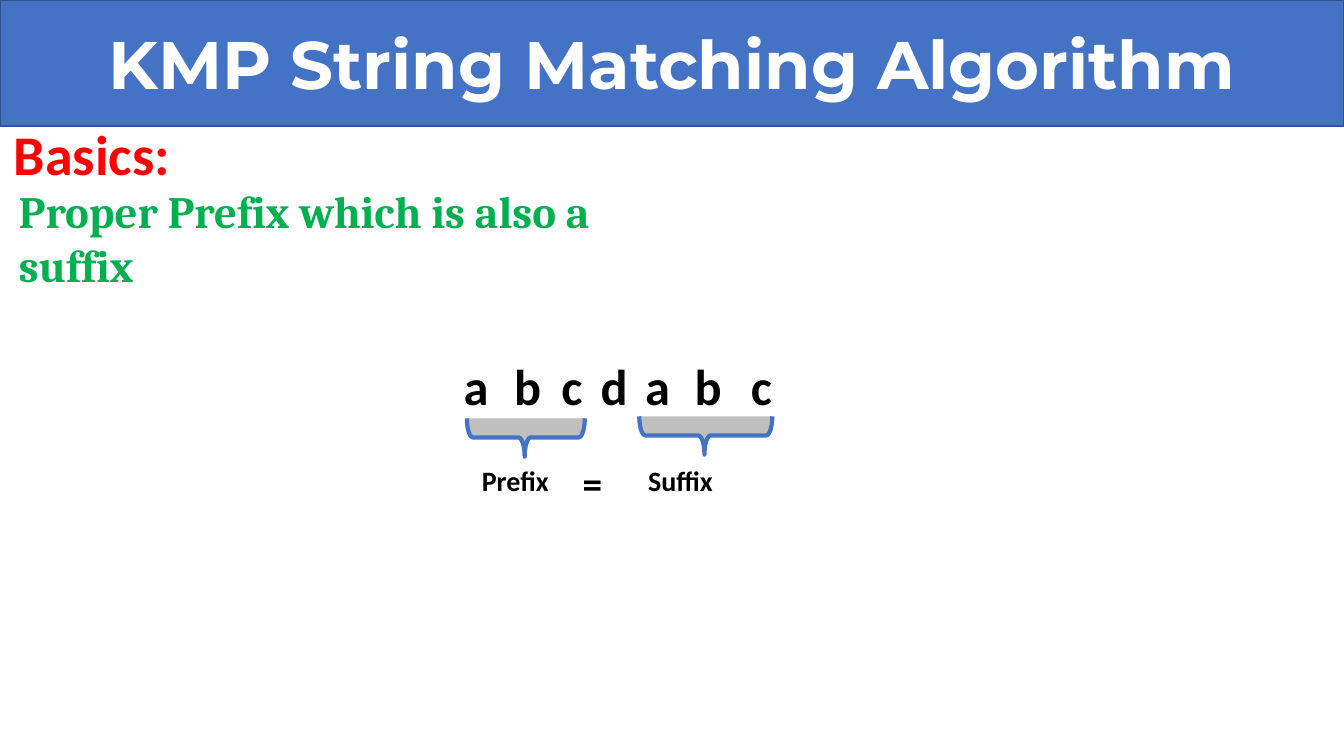
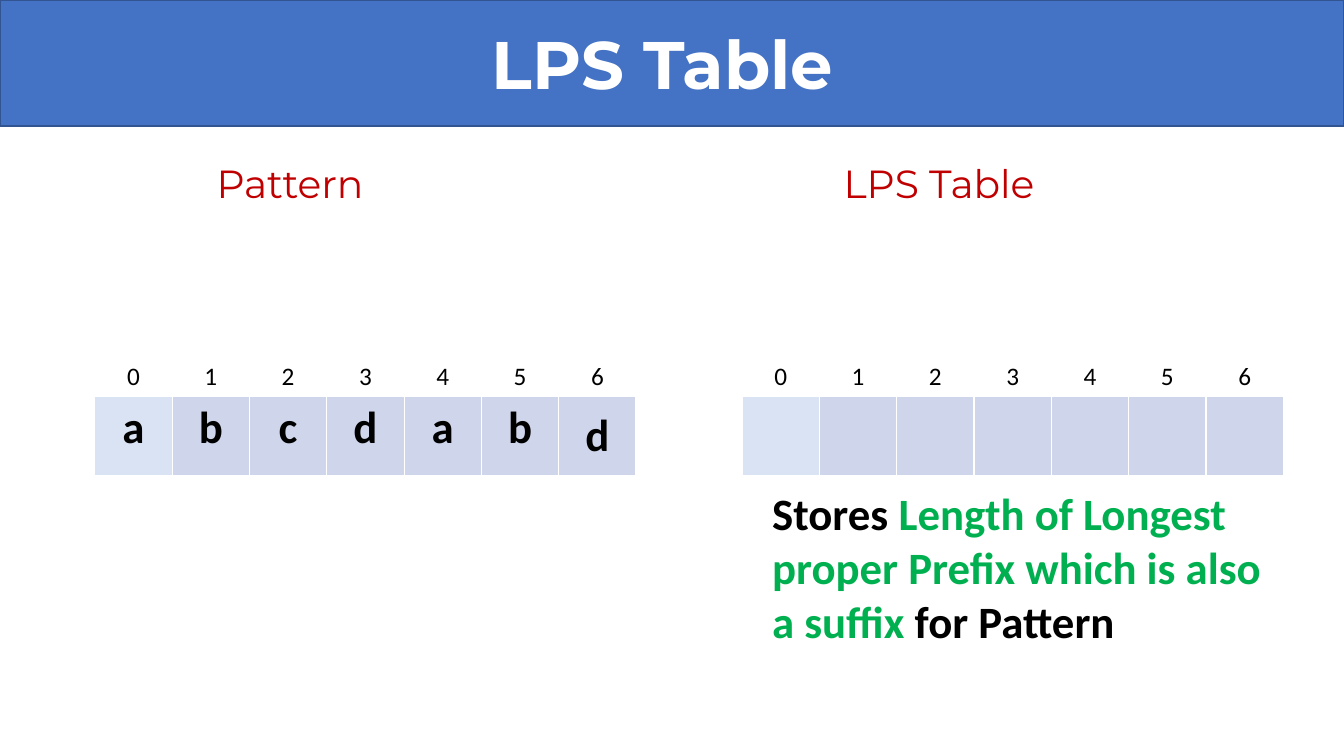
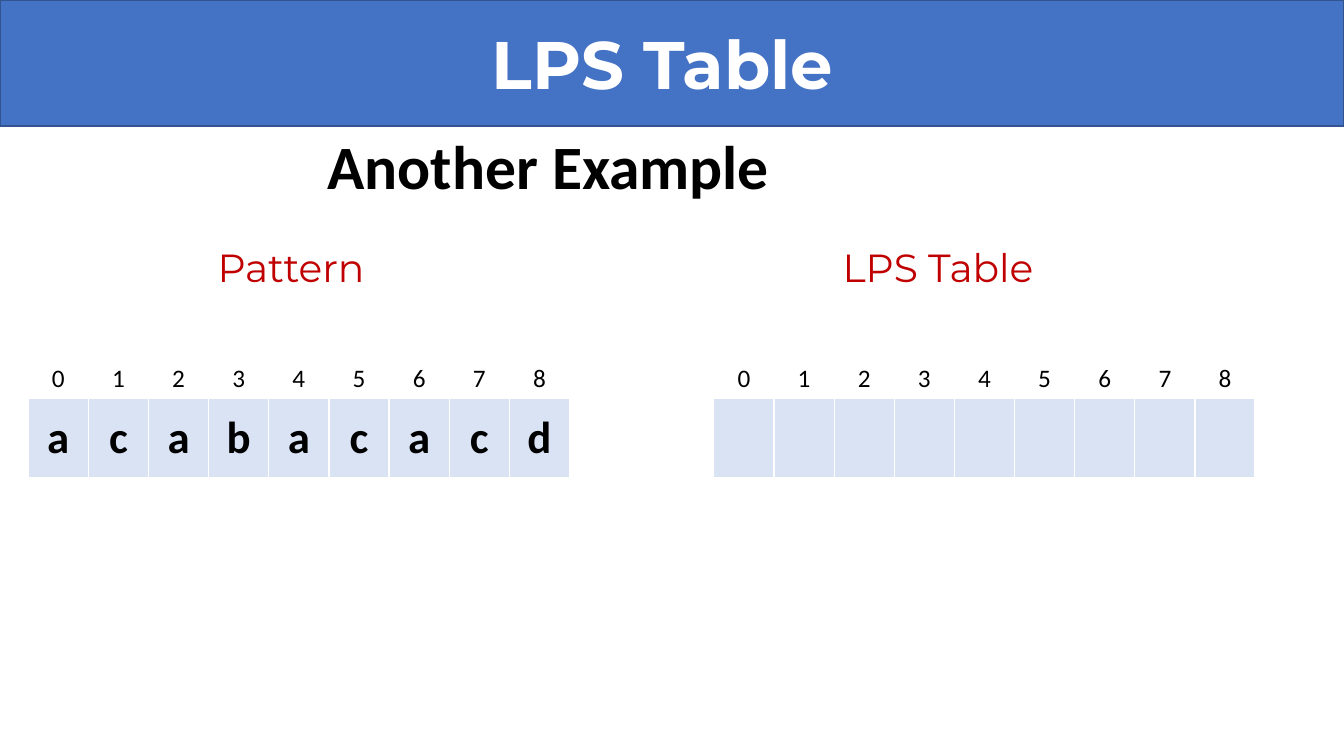
import dataclasses

import lxml.etree
import pptx
import pptx.dml.color
import pptx.enum.shapes
import pptx.enum.text
import pptx.oxml.ns
import pptx.util

Inches = pptx.util.Inches
Align = pptx.enum.text.PP_ALIGN
Anchor = pptx.enum.text.MSO_ANCHOR
Shape = pptx.enum.shapes.MSO_SHAPE


@dataclasses.dataclass(frozen=True)
class Theme:
    """Colours, fonts and type sizes of the deck."""
    blue: str = "4472C4"
    edge: str = "325491"
    white: str = "FFFFFF"
    black: str = "000000"
    red: str = "FF0000"
    wine: str = "C00000"
    green: str = "00B050"
    grey: str = "BFBFBF"
    pale: str = "DAE3F3"
    dusk: str = "CFD5EA"
    head: str = "Montserrat"
    body: str = "Calibri"
    serif: str = "Cambria"
    title: int = 48
    topic: int = 44
    lead: int = 40
    glyph: int = 36
    text: int = 32
    label: int = 28
    note: int = 20
    index: int = 18


THEME = Theme()


def tone(code):
    """Turn a hex code into a colour."""
    return pptx.dml.color.RGBColor.from_string(code)


def style(para, size, color, face=THEME.body, bold=True, align=Align.LEFT):
    """Set the font and alignment of a paragraph."""
    para.alignment = align
    font = para.font
    font.name, font.size, font.bold = face, pptx.util.Pt(size), bold
    font.color.rgb = tone(color)


def write(slide, box, text, size, color=THEME.black, **look):
    """Add a text box with one styled paragraph and return the paragraph."""
    frame = slide.shapes.add_textbox(*map(Inches, box)).text_frame
    frame.word_wrap = True
    para = frame.paragraphs[0]
    para.text = text
    style(para, size, color, **look)
    return para


def draw(slide, kind, box, fill, edge, width):
    """Add a flat preset shape."""
    shape = slide.shapes.add_shape(kind, *map(Inches, box))
    shape.shadow.inherit = False
    shape.fill.solid()
    shape.fill.fore_color.rgb = tone(fill)
    shape.line.color.rgb = tone(edge)
    shape.line.width = pptx.util.Pt(width)
    return shape


def block(slide, box, text, fill, edge, width, *look, **more):
    """Add a filled rectangle with vertically centred text."""
    frame = draw(slide, Shape.RECTANGLE, box, fill, edge, width).text_frame
    frame.word_wrap = True
    frame.vertical_anchor = Anchor.MIDDLE
    frame.paragraphs[0].text = text
    style(frame.paragraphs[0], *look, **more)


def start(deck, title):
    """Add a blank slide with the title band."""
    slide = deck.slides.add_slide(deck.slide_layouts[6])
    block(slide, (0, 0, 13.33, 1.25), title, THEME.blue, THEME.edge, 1,
          THEME.title, THEME.white, face=THEME.head, align=Align.CENTER)
    return slide


def brace(slide, left, top, width, height):
    """Add a brace that opens upward and fills the given box."""
    box = (left + (width - height) / 2, top + (height - width) / 2, height, width)
    shape = draw(slide, Shape.RIGHT_BRACE, box, THEME.grey, THEME.blue, 3)
    shape.rotation = 90
    shape.adjustments[0], shape.adjustments[1] = 0.16, 0.51


def border(cell):
    """Give a cell white lines at its left, right and bottom."""
    props = cell._tc.get_or_add_tcPr()
    for side in ("lnL", "lnR", "lnB"):
        line = lxml.etree.SubElement(props, pptx.oxml.ns.qn("a:" + side), w="12700")
        fill = lxml.etree.SubElement(line, pptx.oxml.ns.qn("a:solidFill"))
        lxml.etree.SubElement(fill, pptx.oxml.ns.qn("a:srgbClr"), val=THEME.white)


def paint(cell, fill, text, size, bold):
    """Fill a cell and write its centred text."""
    cell.fill.solid()
    cell.fill.fore_color.rgb = tone(fill)
    para = cell.text_frame.paragraphs[0]
    para.text = text
    style(para, size, THEME.black, bold=bold, align=Align.CENTER)
    return para


def array(slide, left, top, items, light, mid):
    """Add an indexed array with light leading cells, centred from mid on."""
    count, row = len(items), 0.79
    box = (left, top, 5.37, 2 * row)
    table = slide.shapes.add_table(2, count, *map(Inches, box)).table
    table.first_row = table.horz_banding = False
    for col, item in enumerate(items):
        table.columns[col].width = Inches(5.37 / count)
        para = paint(table.cell(0, col), THEME.white, str(col), THEME.index, False)
        para.line_spacing = 3.0
        cell = table.cell(1, col)
        border(cell)
        fill = THEME.pale if col < light else THEME.dusk
        paint(cell, fill, item, THEME.text if item else THEME.index, True)
        if col >= mid:
            cell.vertical_anchor = Anchor.MIDDLE


def pair(slide, tops, lefts, heads, items, light, mid):
    """Add the pattern array and its empty LPS array, each with a heading."""
    names = ("Pattern", "LPS Table")
    rows = (items, [""] * len(items))
    for name, left, head, row in zip(names, lefts, heads, rows):
        array(slide, left, tops[1], row, light, mid)
        write(slide, (head, tops[0], 3, 0.57), name, THEME.label, THEME.wine,
              face=THEME.head, bold=False)


def word(slide, left, top):
    """Show a string whose prefix equals its suffix."""
    steps = (0, 0.5, 0.97, 1.36, 1.8, 2.29, 2.85)
    for step, char in zip(steps, "abcdabc"):
        write(slide, (left + step, top, 0.58, 0.71), char, THEME.glyph)
    brace(slide, left + 0.13, top + 0.68, 1.17, 0.38)
    brace(slide, left + 1.84, top + 0.66, 1.32, 0.38)
    for step, name in ((0.18, "Prefix"), (1.83, "Suffix")):
        write(slide, (left + step, top + 1.08, 1.02, 0.44), name, THEME.note)
    write(slide, (left + 1.18, top + 1.04, 0.45, 0.57), "=", THEME.label)


def basics(deck):
    """Build the slide on prefix and suffix."""
    slide = start(deck, "KMP String Matching Algorithm")
    write(slide, (0.04, 1.14, 2, 0.77), "Basics:", THEME.lead, THEME.red)
    block(slide, (0.09, 2.04, 6.64, 0.64), "Proper Prefix which is also a suffix",
          THEME.white, THEME.white, 0.75, THEME.text, THEME.green, face=THEME.serif)
    word(slide, 4.5, 3.47)


def meaning(deck):
    """Build the slide that explains the LPS table."""
    slide = start(deck, "LPS Table ")
    pair(slide, (1.53, 2.93), (0.94, 7.36), (2.05, 8.27), "abcdabd", 1, 6)
    para = write(slide, (7.56, 4.77, 5.17, 1.72), "Stores ", THEME.text)
    main = para.add_run()
    main.text = "Length of Longest proper Prefix which is also a suffix"
    main.font.color.rgb = tone(THEME.green)
    para.add_run().text = " for Pattern"


def example(deck):
    """Build the slide with another example."""
    slide = start(deck, "LPS Table ")
    write(slide, (3.15, 1.22, 5.11, 0.84), "Another Example", THEME.topic)
    pair(slide, (2.36, 2.95), (0.28, 7.08), (2.06, 8.26), "acabacacd", 9, 0)


def main():
    """Build and save the deck."""
    deck = pptx.Presentation()
    deck.slide_width, deck.slide_height = Inches(13.33), Inches(7.5)
    for build in (basics, meaning, example):
        build(deck)
    deck.save("out.pptx")


if __name__ == "__main__":
    main()
